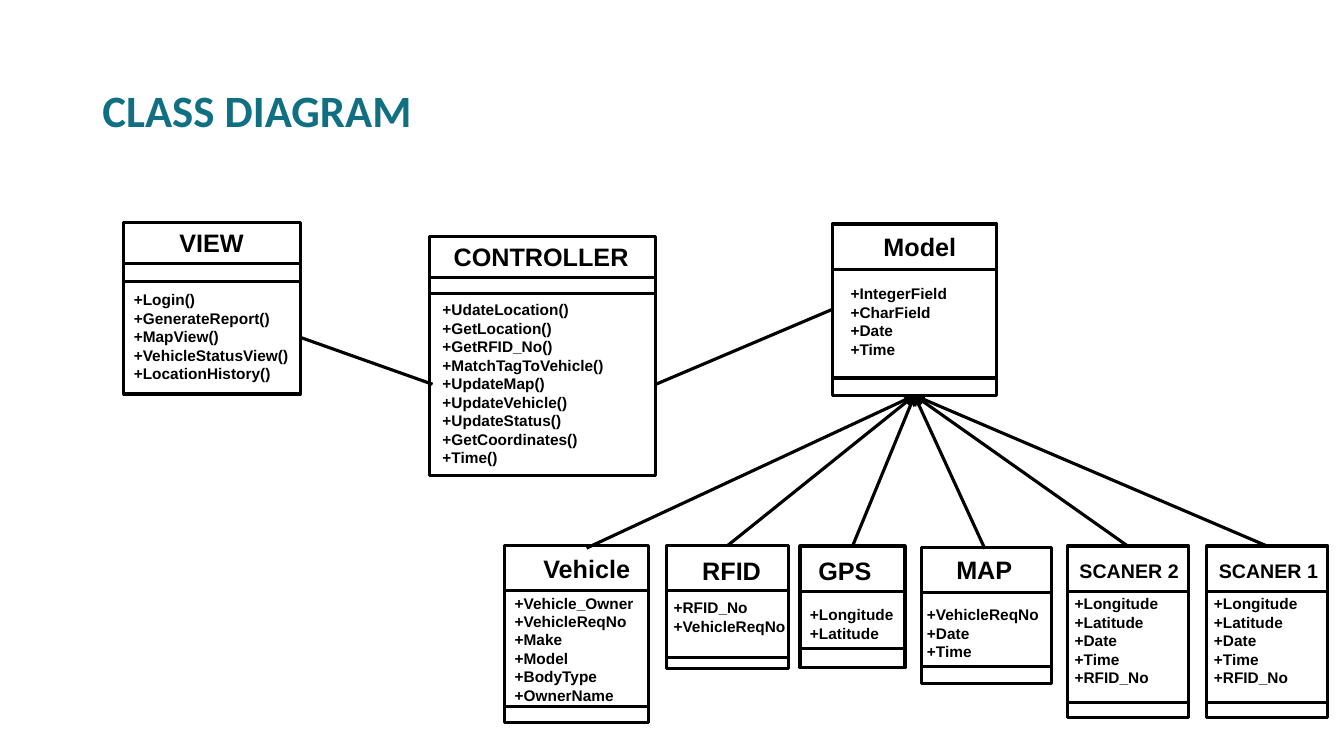
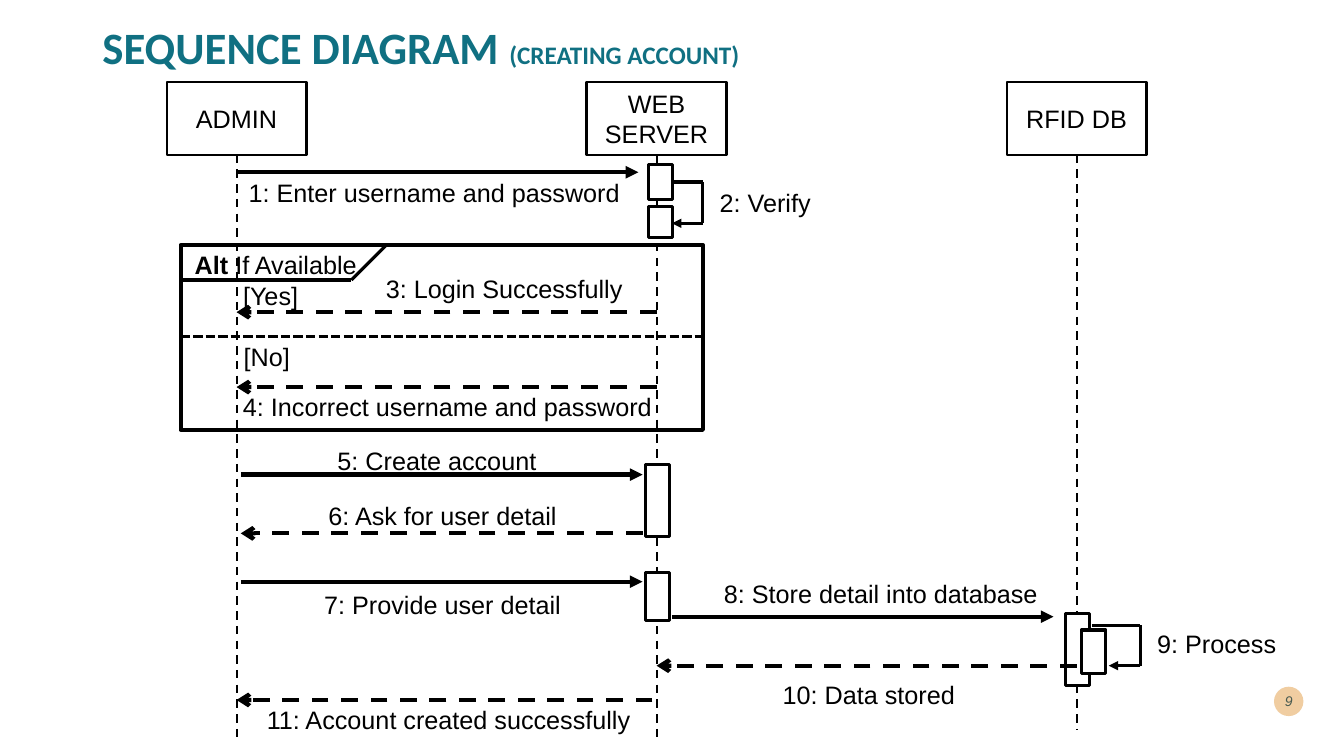
from itertools import pairwise

from lxml import etree
from pptx import Presentation
from pptx import util as u
from pptx.dml.color import RGBColor
from pptx.enum import dml, shapes, text
from pptx.oxml.ns import qn

COLORS = {"ink": "000000", "paper": "FFFFFF", "title": "107082",
          "badge": "F0CDA1", "number": "485A50"}
LEFT, CENTER = text.PP_ALIGN.LEFT, text.PP_ALIGN.CENTER
DASH, SHORT_DASH = dml.MSO_LINE.DASH, dml.MSO_LINE.SQUARE_DOT


def color(name):
    return RGBColor.from_string(COLORS[name])


class Board:
    base = {"name": "Arial", "size": u.Pt(18), "bold": False, "italic": False}
    heading = {"name": "Calibri", "size": u.Pt(32), "bold": True}
    member = {"size": u.Pt(11), "bold": True}

    def __init__(self):
        self.deck = Presentation()
        self.deck.slide_width, self.deck.slide_height = u.Pt(960), u.Pt(540)
        self.page = None

    def new_page(self, title, top, height):
        self.page = self.deck.slides.add_slide(self.deck.slide_layouts[5])
        box = self.page.shapes.title
        place = {"left": 66, "top": top, "width": 828, "height": height}
        for key, value in place.items():
            setattr(box, key, u.Pt(value))
        frame = box.text_frame
        frame.auto_size = text.MSO_AUTO_SIZE.NONE
        frame.vertical_anchor = text.MSO_ANCHOR.MIDDLE
        self.set_text(frame, [title], LEFT, "title", self.heading)
        frame.paragraphs[0].line_spacing = 0.9

    def set_text(self, frame, lines, align=LEFT, ink="ink", style=None):
        for index, line in enumerate(lines):
            para = frame.add_paragraph() if index else frame.paragraphs[0]
            para.alignment = align
            spans = [(line, {})] if isinstance(line, str) else line
            for words, changes in spans:
                span = para.add_run()
                span.text = words
                span.font.color.rgb = color(ink)
                for key, value in {**self.base, **(style or {}), **changes}.items():
                    setattr(span.font, key, value)

    def label(self, lines, left, top, width, style=None):
        size = (style or self.base).get("size", self.base["size"])
        height = 7.2 + 1.2 * size.pt * len(lines)
        box = self.page.shapes.add_textbox(*map(u.Pt, (left, top, width, height)))
        box.text_frame.word_wrap = False
        box.text_frame.auto_size = text.MSO_AUTO_SIZE.SHAPE_TO_FIT_TEXT
        self.set_text(box.text_frame, lines, style=style)

    def box(self, left, top, width, height, weight=2.25, fill="paper",
            kind=shapes.MSO_SHAPE.RECTANGLE):
        box = self.page.shapes.add_shape(kind, *map(u.Pt, (left, top, width, height)))
        box.shadow.inherit = False
        if fill:
            box.fill.solid()
            box.fill.fore_color.rgb = color(fill)
        else:
            box.fill.background()
        if weight:
            box.line.color.rgb = color("ink")
            box.line.width = u.Pt(weight)
        else:
            box.line.fill.background()
        return box

    def caption(self, box, words, ink="ink", style=None, inset=7.2):
        frame = box.text_frame
        frame.word_wrap = True
        frame.vertical_anchor = text.MSO_ANCHOR.MIDDLE
        frame.margin_left = frame.margin_right = u.Pt(inset)
        self.set_text(frame, [words], CENTER, ink, style)

    def line(self, start, end, weight=2.25, dash=None, arrow=None):
        line = self.page.shapes.add_connector(
            shapes.MSO_CONNECTOR.STRAIGHT, *map(u.Pt, (*start, *end)))
        line.line.color.rgb = color("ink")
        line.line.width = u.Pt(weight)
        if dash:
            line.line.dash_style = dash
        properties = line.element.spPr
        if arrow:
            etree.SubElement(properties.find(qn("a:ln")), qn("a:tailEnd"), type=arrow)
        etree.SubElement(properties, qn("a:effectLst"))
        return line

    def class_box(self, bounds, dividers, name, name_at, members, members_at, size=18):
        box = self.box(*bounds)
        left, right = bounds[0], bounds[0] + bounds[2]
        for y in dividers:
            self.line((left, y), (right, y))
        self.label([name], *name_at, {"size": u.Pt(size), "bold": True})
        self.label(members.split(), *members_at, self.member)
        return box

    def message(self, start, end, y):
        reply = end < start
        self.line((start, y), (end, y), 3, DASH if reply else None,
                  "arrow" if reply else "triangle")

    def self_call(self, start, turn, end, top, bottom):
        corners = [(start, top), (turn, top), (turn, bottom), (end, bottom)]
        for a, b in pairwise(corners):
            self.line(a, b, arrow="triangle" if b == corners[-1] else None)

    def page_number(self, number):
        badge = self.box(910, 490.5, 21, 21, 0, "badge", shapes.MSO_SHAPE.OVAL)
        self.caption(badge, number, "number", {"size": u.Pt(10), "italic": True}, 0)


def class_diagram(board):
    board.new_page("CLASS DIAGRAM", 29, 104)
    board.class_box(
        (88.5, 159, 126, 122.5), (188, 201), "VIEW", (121, 159, 61),
        "+Login() +GenerateReport() +MapView() +VehicleStatusView() "
        "+LocationHistory()", (88.5, 204, 126))
    board.class_box(
        (306.5, 169, 162, 170.5), (198, 209.5), "CONTROLLER", (317, 169, 141),
        "+UdateLocation() +GetLocation() +GetRFID_No() +MatchTagToVehicle() "
        "+UpdateMap() +UpdateVehicle() +UpdateStatus() +GetCoordinates() +Time()",
        (309, 211, 132.5))
    model = board.class_box(
        (594.5, 160, 117.5, 122.5), (192.5, 270), "Model", (624, 162, 67),
        "+IntegerField +CharField +Date +Time", (600.5, 199.5, 83.5))
    board.class_box(
        (360.5, 389.5, 103, 126.5), (422, 504.5), "Vehicle", (381, 391.5, 77),
        "+Vehicle_Owner +VehicleReqNo +Make +Model +BodyType +OwnerName",
        (360.5, 420.5, 101))
    board.class_box(
        (476, 389.5, 87, 88), (422, 469.5), "RFID", (494.5, 393, 57),
        "+RFID_No +VehicleReqNo", (474, 424, 96))
    board.class_box(
        (571.5, 390, 75, 87), (422.5, 463), "GPS", (577.5, 393, 52.5),
        "+Longitude +Latitude", (571.5, 429, 75))
    board.class_box(
        (658, 391, 93, 97), (423.5, 476), "MAP", (676, 392.5, 55),
        "+VehicleReqNo +Date +Time", (655, 429, 96))
    for name, left in (("SCANER 2", 762.5), ("SCANER 1", 862)):
        board.class_box(
            (left, 390, 86.5, 122.5), (422.5, 501.5), name, (left + 1.5, 396, 86.5),
            "+Longitude +Latitude +Date +Time +RFID_No", (left - 2, 421, 75.5), 14)

    board.line((214.5, 241), (309, 274.5))
    board.line((468.5, 274.5), (594.5, 221))
    children = [(419, 391.5), (520, 389.5), (609, 390),
                (703.5, 392), (805.5, 390), (905, 390)]
    for start in children:
        line = board.line(start, (653.25, 282.5), arrow="arrow")
        line.end_connect(model, 2)


def sequence_diagram(board):
    board.new_page([("SEQUENCE DIAGRAM ", {}),
                    ("(CREATING ACCOUNT)", {"size": u.Pt(18)})], 3.5, 64)
    board.page_number("9")
    admin, server, database = (169 + 300 * i for i in range(3))
    actors = [("ADMIN", admin, 529.5), ("WEB SERVER", server, 529.5),
              ("RFID DB", database, 521.5)]
    for name, x, bottom in actors:
        board.caption(board.box(x - 50, 58.5, 100, 52, 1.5), name)
        board.line((x, 110.5), (x, bottom), 1.5, DASH)

    activations = [(463, 117.5, 25), (463, 147.5, 22.5), (461, 332, 51),
                   (461, 409, 34), (761, 438.5, 51), (772.5, 450, 31)]
    for left, top, height in activations:
        board.box(left, top, 17.5, height)
    board.self_call(480, 502, 480, 130, 159.5)
    board.self_call(780, 814.5, 792, 446.5, 475.5)

    left, right, top = 129, 502, 175
    board.box(left, top, right - left, 132, 3, None)
    board.line((left, 200), (251, 200))
    board.line((251, 200), (276, top))
    board.line((left, 240.5), (right, 240.5), dash=SHORT_DASH)

    messages = [(admin, 456, 123), (server, admin, 223), (server, admin, 276.5),
                (172, 459, 339), (459, 172, 381), (172, 459, 415.5),
                (480, 752.5, 440.5), (database, server, 475.5), (466, admin, 500)]
    for start, end, y in messages:
        board.message(start, end, y)

    labels = [
        ("1: Enter username and password", 170.5, 123, 282),
        ("2: Verify", 507, 130.5, 80),
        ([("Alt", {"bold": True}), (" If Available", {})], 132, 174.5, 131),
        ("[Yes]", 166.5, 197, 54),
        ("[No]", 167, 240.5, 47.5),
        ("3: Login Successfully", 268.5, 191.5, 185),
        ("4: Incorrect username and password", 166.5, 276, 309.5),
        ("5: Create account", 234, 314.5, 157.5),
        ("6: Ask for user detail", 227.5, 354, 179),
        ("7: Provide user detail", 224.5, 417.5, 185),
        ("8: Store detail into database", 510, 409.5, 240.5),
        ("9: Process", 819.5, 445.5, 100),
        ("10: Data stored", 552, 481.5, 139),
        ("11: Account created successfully", 183.5, 499.5, 276.5),
    ]
    for words, x, y, width in labels:
        board.label([words], x, y, width)


def main():
    board = Board()
    class_diagram(board)
    sequence_diagram(board)
    board.deck.save("out.pptx")


if __name__ == "__main__":
    main()
